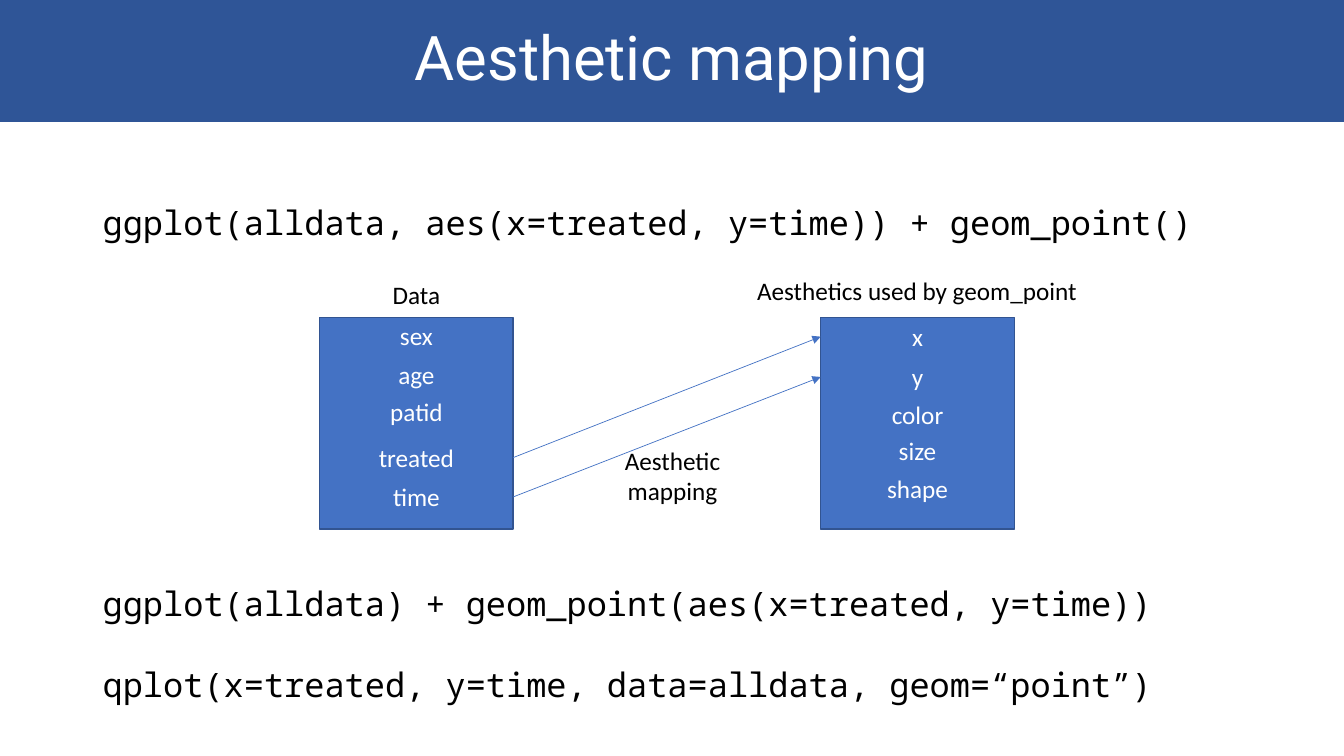
from dataclasses import dataclass

from lxml.etree import SubElement
from pptx import Presentation
from pptx.dml.color import RGBColor
from pptx.enum.shapes import MSO_CONNECTOR as Connector, MSO_SHAPE as Shape
from pptx.enum.text import MSO_ANCHOR as Anchor, PP_ALIGN as Align
from pptx.oxml.ns import qn
from pptx.util import Inches, Pt


@dataclass(frozen=True)
class Theme:
    """Colours, fonts and type sizes of the slide."""
    banner: str = "2F5597"
    box: str = "4472C4"
    box_line: str = "325491"
    light: str = "FFFFFF"
    dark: str = "000000"
    title_font: str = "Roboto"
    label_font: str = "Calibri"
    code_font: str = "Noto Sans Mono"
    title_size: int = 44
    label_size: int = 18
    code_size: int = 24


THEME = Theme()
LABEL_HEIGHT = 0.4


def add_box(slide, left, top, width, height, fill, line=None):
    """Add a filled rectangle with an optional outline."""
    shape = slide.shapes.add_shape(
        Shape.RECTANGLE, Inches(left), Inches(top), Inches(width), Inches(height))
    shape.shadow.inherit = False
    shape.fill.solid()
    shape.fill.fore_color.rgb = RGBColor.from_string(fill)
    if line:
        shape.line.color.rgb = RGBColor.from_string(line)
        shape.line.width = Pt(1)
    else:
        shape.line.fill.background()
    return shape


def write(shape, text, font, size, color, align=Align.CENTER):
    """Put text into a shape and format every paragraph alike."""
    frame = shape.text_frame
    frame.word_wrap = True
    frame.text = text
    for paragraph in frame.paragraphs:
        paragraph.alignment = align
        for run in paragraph.runs:
            run.font.name = font
            run.font.size = Pt(size)
            run.font.color.rgb = RGBColor.from_string(color)
    return frame


def add_label(slide, left, top, width, text, color=THEME.dark, height=LABEL_HEIGHT):
    """Add a centred label."""
    label = slide.shapes.add_textbox(
        Inches(left), Inches(top), Inches(width), Inches(height))
    write(label, text, THEME.label_font, THEME.label_size, color)


def add_banner(slide, left, top, width, height, text):
    """Add the title band."""
    banner = add_box(slide, left, top, width, height, THEME.banner)
    frame = write(banner, text, THEME.title_font, THEME.title_size, THEME.light)
    frame.vertical_anchor = Anchor.MIDDLE
    frame.paragraphs[0].line_spacing = 0.9


def add_code(slide, left, top, width, height, lines, line_spacing=1.0):
    """Add lines of code with a gap between them."""
    code = slide.shapes.add_textbox(
        Inches(left), Inches(top), Inches(width), Inches(height))
    frame = write(code, "\n".join(lines), THEME.code_font, THEME.code_size,
                  THEME.dark, Align.LEFT)
    for index, paragraph in enumerate(frame.paragraphs):
        paragraph.line_spacing = line_spacing
        paragraph.space_before = Pt(29.3 if index else 0)


def add_list(slide, left, top, width, height, rows):
    """Add a box of labels and return the middle height of each one."""
    add_box(slide, left, top, width, height, THEME.box, THEME.box_line)
    for text, offset in rows.items():
        add_label(slide, left, top + offset, width, text, THEME.light)
    return {text: top + offset + LABEL_HEIGHT / 2 for text, offset in rows.items()}


def add_arrow(slide, start, end):
    """Add a thin arrow between two points."""
    arrow = slide.shapes.add_connector(
        Connector.STRAIGHT, *(Inches(value) for value in (*start, *end)))
    arrow.line.color.rgb = RGBColor.from_string(THEME.box)
    arrow.line.width = Pt(0.5)
    SubElement(arrow.line._get_or_add_ln(), qn("a:tailEnd"), type="triangle")
    SubElement(arrow._element.spPr, qn("a:effectLst"))


def add_diagram(slide, left, top, width, height):
    """Add the data and aesthetics boxes with the mapping between them."""
    box_width = 1.92
    right = left + width - box_width
    data = add_list(slide, left, top, box_width, height, {
        "sex": -0.02, "age": 0.37, "patid": 0.73, "treated": 1.19, "time": 1.58})
    aesthetics = add_list(slide, right, top, box_width, height, {
        "x": -0.01, "y": 0.39, "color": 0.76, "size": 1.12, "shape": 1.5})
    add_label(slide, left, top - 0.43, box_width, "Data")
    add_label(slide, right - 1.31, top - 0.47, 4.53, "Aesthetics used by geom_point")
    for variable, aesthetic in (("treated", "x"), ("time", "y")):
        add_arrow(slide, (left + box_width, data[variable]),
                  (right, aesthetics[aesthetic]))
    add_label(slide, left + 2.54, top + 1.22, box_width, "Aesthetic mapping",
              height=0.71)


def main():
    """Build the slide and save it."""
    presentation = Presentation()
    presentation.slide_width = Inches(13.33)
    presentation.slide_height = Inches(7.5)
    slide = presentation.slides.add_slide(presentation.slide_layouts[6])
    add_banner(slide, 0, 0, 13.33, 1.21, "Aesthetic mapping")
    add_code(slide, 0.92, 2, 11.5, 0.5,
             ["ggplot(alldata, aes(x=treated, y=time)) + geom_point()"], 0.9)
    add_diagram(slide, 3.17, 3.15, 6.89, 2.1)
    add_code(slide, 0.92, 5.73, 11.5, 1.31, [
        "ggplot(alldata) + geom_point(aes(x=treated, y=time))",
        "qplot(x=treated, y=time, data=alldata, geom=“point”)"])
    presentation.save("out.pptx")


if __name__ == "__main__":
    main()
